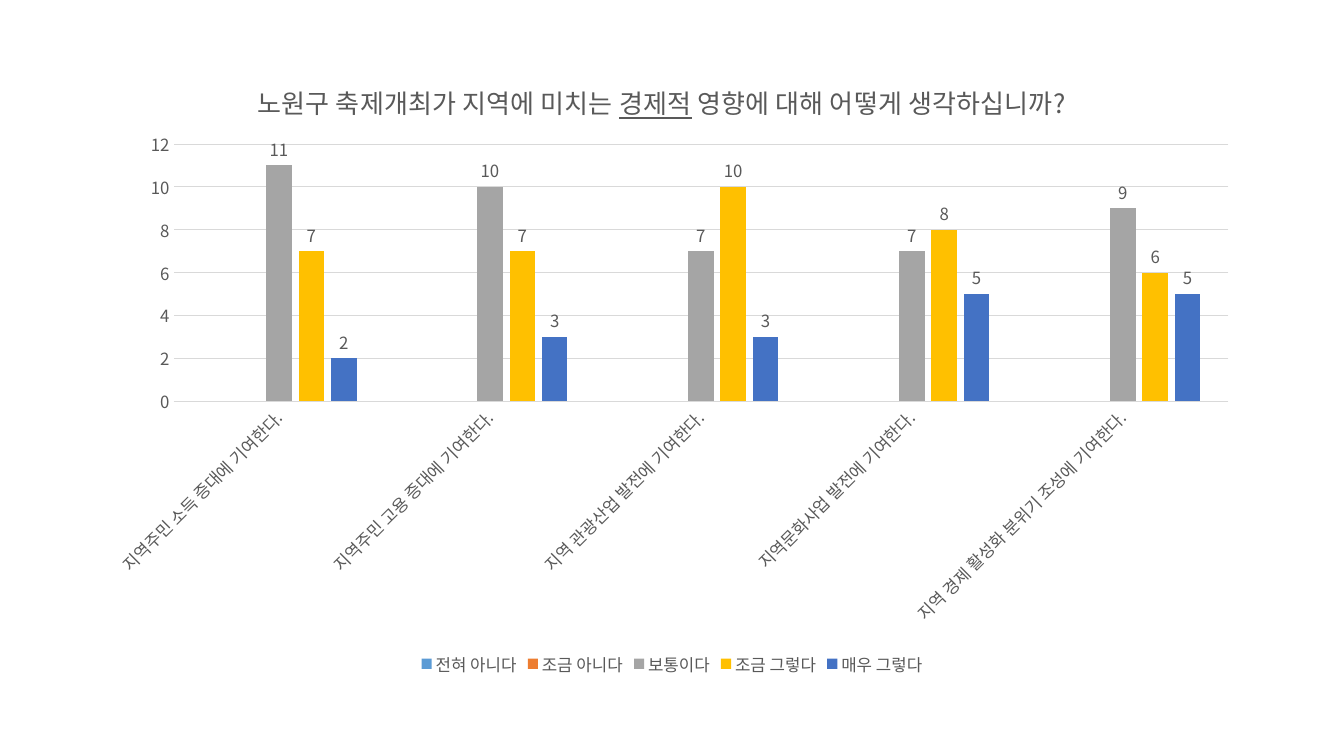
from lxml import etree
from pptx import Presentation
from pptx import util as u
from pptx.chart import data as chart_data
from pptx.dml import color
from pptx.enum import chart as kinds
from pptx.oxml import ns, parse_xml

FONT = "Noto Sans CJK KR"
COLORS = {"text": "595959", "line": "D9D9D9"}
TITLE = (
    ("노원구 축제개최가 지역에 미치는 ", False),
    ("경제적", True),
    (" 영향에 대해 어떻게 생각하십니까?", False),
)
CATEGORIES = (
    "지역주민 소득 증대에 기여한다.",
    "지역주민 고용 증대에 기여한다.",
    "지역 관광산업 발전에 기여한다.",
    "지역문화사업 발전에 기여한다.",
    "지역 경제 활성화 분위기 조성에 기여한다.",
)
ANSWERS = (
    ("전혀 아니다", (None,) * 5, "5B9BD5"),
    ("조금 아니다", (None,) * 5, "ED7D31"),
    ("보통이다", (11, 10, 7, 7, 9), "A5A5A5"),
    ("조금 그렇다", (7, 7, 10, 8, 6), "FFC000"),
    ("매우 그렇다", (2, 3, 3, 5, 5), "4472C4"),
)


def rgb(code):
    return color.RGBColor.from_string(code)


def find_part(chart, *tags):
    return chart.element.find(".//" + "/".join(ns.qn(tag) for tag in tags))


def format_font(font, size=12, underline=None):
    font.name = FONT
    font.size = u.Pt(size)
    font.bold = False
    font.underline = underline
    font.color.rgb = rgb(COLORS["text"])


def add_text(para, text, **style):
    span = para.add_run()
    span.text = text
    format_font(span.font, **style)


def format_line(line):
    line.color.rgb = rgb(COLORS["line"])
    line.width = u.Pt(0.75)


def set_layout(parent, index, target=None, **place):
    """Place a chart part, in fractions of the chart's size."""
    for old in parent.findall(ns.qn("c:layout")):
        parent.remove(old)
    layout = parse_xml(f"<c:layout {ns.nsdecls('c')}><c:manualLayout/></c:layout>")
    values = {"layoutTarget": target} if target else {}
    values |= {"xMode": "edge", "yMode": "edge"} | place
    for tag, value in values.items():
        etree.SubElement(layout[0], ns.qn(f"c:{tag}")).set("val", str(value))
    parent.insert(index, layout)


def add_title(chart):
    para = chart.chart_title.text_frame.paragraphs[0]
    for text, underline in TITLE:
        add_text(para, text, size=18.6, underline=underline)
    set_layout(find_part(chart, "c:title"), 1, x=0.14, y=0.04)


def format_axes(chart):
    for axis in (chart.category_axis, chart.value_axis):
        axis.major_tick_mark = axis.minor_tick_mark = kinds.XL_TICK_MARK.NONE
        format_font(axis.tick_labels.font)
    format_line(chart.category_axis.format.line)
    # Slanted category labels
    body = find_part(chart, "c:catAx", "c:txPr", "a:bodyPr")
    body.set("rot", str(-45 * 60000))
    body.set("vert", "horz")

    values = chart.value_axis
    values.minimum_scale, values.maximum_scale, values.major_unit = 0, 12, 2
    values.format.line.fill.background()
    values.has_major_gridlines = True
    format_line(values.major_gridlines.format.line)


def format_columns(plot):
    plot.gap_width, plot.overlap = 219, -27
    plot.vary_by_categories = False
    for series, (_, _, fill) in zip(plot.series, ANSWERS):
        series.format.fill.solid()
        series.format.fill.fore_color.rgb = rgb(fill)
        series.invert_if_negative = False
        labels = series.data_labels
        labels.show_value = True
        labels.position = kinds.XL_LABEL_POSITION.OUTSIDE_END
        format_font(labels.font)


def add_legend(chart):
    chart.has_legend = True
    chart.legend.position = kinds.XL_LEGEND_POSITION.BOTTOM
    chart.legend.include_in_layout = False
    format_font(chart.legend.font)


def add_survey_chart(page, left, top, width, height):
    source = chart_data.CategoryChartData()
    source.categories = CATEGORIES
    for name, values, _ in ANSWERS:
        source.add_series(name, values)
    box = page.shapes.add_chart(
        kinds.XL_CHART_TYPE.COLUMN_CLUSTERED,
        u.Pt(left), u.Pt(top), u.Pt(width), u.Pt(height), source)
    chart = box.chart
    chart.font.name, chart.font.size = FONT, u.Pt(10)

    add_title(chart)
    format_axes(chart)
    format_columns(chart.plots[0])
    add_legend(chart)
    set_layout(find_part(chart, "c:plotArea"), 0, "inner",
               x=0.07, y=0.145, w=0.91, h=0.41)

    # Korean text takes its face from the East Asian font
    for latin in list(chart.element.iter(ns.qn("a:latin"))):
        east_asian = etree.Element(ns.qn("a:ea"))
        east_asian.set("typeface", FONT)
        latin.addnext(east_asian)


def main():
    deck = Presentation()
    deck.slide_width, deck.slide_height = u.Pt(960), u.Pt(540)
    page = deck.slides.add_slide(deck.slide_layouts[6])
    add_survey_chart(page, left=66, top=38, width=828, height=448)
    deck.save("out.pptx")


if __name__ == "__main__":
    main()
